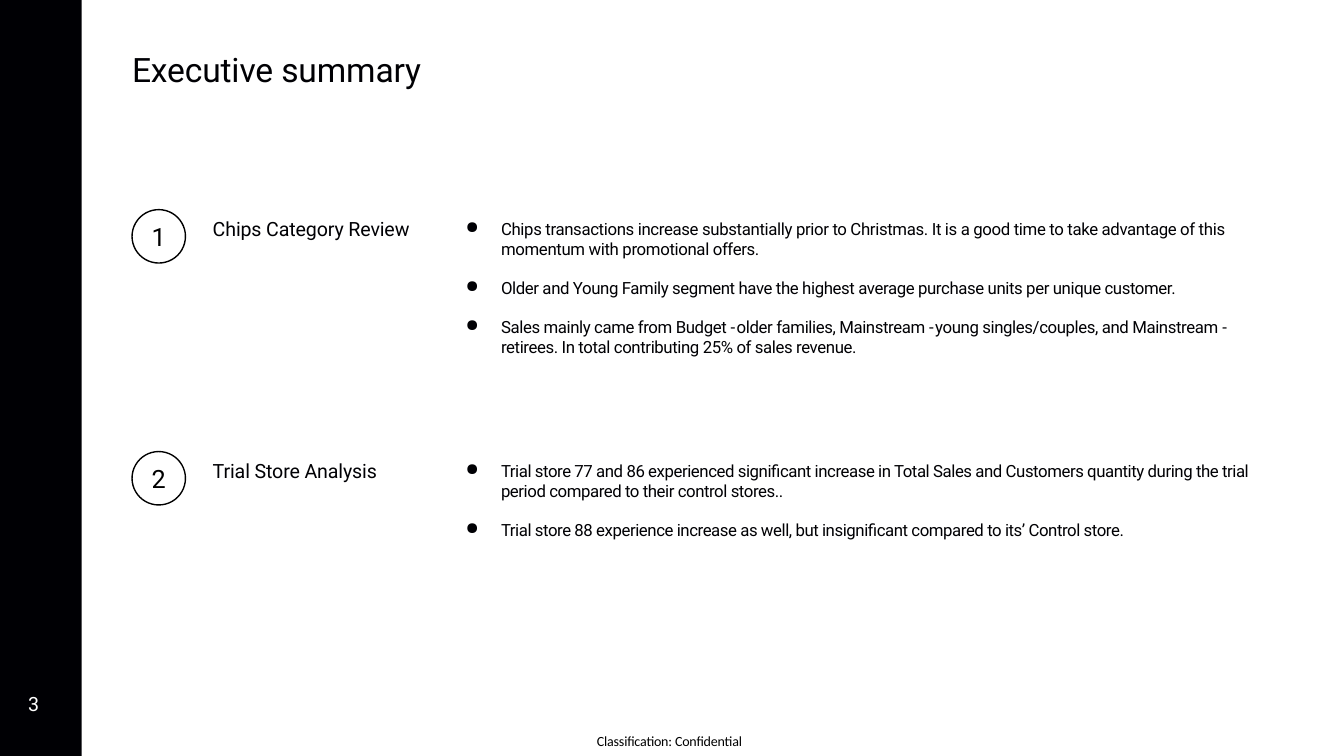
from lxml import etree
from pptx import Presentation
from pptx import util as u
from pptx.dml.color import RGBColor
from pptx.enum import shapes, text
from pptx.oxml.ns import qn

COLORS = {"ink": "000004", "black": "000000", "white": "FFFFFF"}
TITLE = "Executive summary"
PAGE = "3"
FOOTER = "Classification: Confidential"
SECTIONS = [
    ("Chips Category Review", 2.0, 1.42, [
        ("Chips transactions increase substantially prior to Christmas. It is a good time "
         "to take advantage of this momentum with promotional offers.", -0.25),
        ("Older and Young Family segment have the highest average purchase units "
         "per unique customer.", -0.27),
        ("Sales mainly came from Budget - older families, Mainstream - young singles/couples, "
         "and Mainstream - retirees. In total contributing 25% of sales revenue.", -0.27),
    ]),
    ("Trial Store Analysis", 1.68, 0.82, [
        ("Trial store 77 and 86 experienced signiﬁcant increase in Total Sales and Customers "
         "quantity during the trial period compared to their control stores..", -0.32),
        ("Trial store 88 experience increase as well, but insigniﬁcant compared to its’ "
         "Control store.", -0.32),
    ]),
]
DASH = "- "
FIRST_TOP, SECTION_PITCH = 2.08, 2.4


def rgb(name):
    return RGBColor.from_string(COLORS[name])


def add_run(p, words, size, color="ink", spacing=-0.1, font="Roboto"):
    r = p.add_run()
    r.text = words
    r.font.size = u.Pt(size)
    r.font.name = font
    r.font.color.rgb = rgb(color)
    r.font._element.set("spc", str(round(spacing * 100)))


def add_box(slide, left, top, width, height):
    tf = slide.shapes.add_textbox(*map(u.Inches, (left, top, width, height))).text_frame
    tf.margin_left = tf.margin_right = tf.margin_top = tf.margin_bottom = 0
    tf.word_wrap = True
    return tf


def add_line(slide, at, words, size, leading=None, **style):
    p = add_box(slide, *at).paragraphs[0]
    if leading:
        p.line_spacing = u.Pt(leading)
    add_run(p, words, size, **style)


def add_bullets(slide, at, bullets):
    tf = add_box(slide, *at)
    for i, (words, spacing) in enumerate(bullets):
        p = tf.add_paragraph() if i else tf.paragraphs[0]
        p.line_spacing = u.Pt(14.2)
        p.space_before = u.Pt(13.8 if i else 0)
        pPr = p._p.get_or_add_pPr()
        pPr.set("marL", str(u.Inches(0.36)))
        pPr.set("indent", str(u.Inches(-0.35)))
        etree.SubElement(pPr, qn("a:buChar")).set("char", "●")
        for j, part in enumerate(words.split(DASH)):
            if j:
                add_run(p, DASH, 12, spacing=-2)
            add_run(p, part, 12, spacing=spacing)


def add_badge(slide, number, top):
    sp = slide.shapes.add_shape(shapes.MSO_SHAPE.OVAL, u.Inches(1.31), u.Inches(top),
                                u.Inches(0.53), u.Inches(0.53))
    sp.shadow.inherit = False
    sp.fill.background()
    sp.line.color.rgb = rgb("black")
    sp.line.width = u.Pt(1)
    tf = sp.text_frame
    tf.margin_left = tf.margin_right = tf.margin_top = tf.margin_bottom = 0
    tf.vertical_anchor = text.MSO_ANCHOR.MIDDLE
    p = tf.paragraphs[0]
    p.alignment = text.PP_ALIGN.CENTER
    add_run(p, str(number), 18, "black", -0.5)


def main():
    prs = Presentation()
    prs.slide_width, prs.slide_height = u.Inches(13.33), u.Inches(7.5)
    slide = prs.slides.add_slide(prs.slide_layouts[6])

    bar = slide.shapes.add_shape(shapes.MSO_SHAPE.RECTANGLE, 0, 0,
                                 u.Inches(0.81), prs.slide_height)
    bar.shadow.inherit = False
    bar.fill.solid()
    bar.fill.fore_color.rgb = rgb("ink")
    bar.line.fill.background()

    add_line(slide, (1.31, 0.49, 3.2, 0.43), TITLE, 24)
    for i, (heading, width, height, bullets) in enumerate(SECTIONS):
        top = FIRST_TOP + i * SECTION_PITCH
        add_badge(slide, i + 1, top)
        add_line(slide, (2.11, top + 0.07, width + 0.2, 0.26), heading, 14)
        add_bullets(slide, (4.61, top + 0.09, 7.87, height), bullets)
    add_line(slide, (0.28, 6.86, 0.26, 0.26), PAGE, 14, 16.8, color="white", spacing=0)
    add_line(slide, (5.92, 7.29, 1.6, 0.17), FOOTER, 10, 10.5, color="black", font="Calibri")
    prs.save("out.pptx")


if __name__ == "__main__":
    main()
